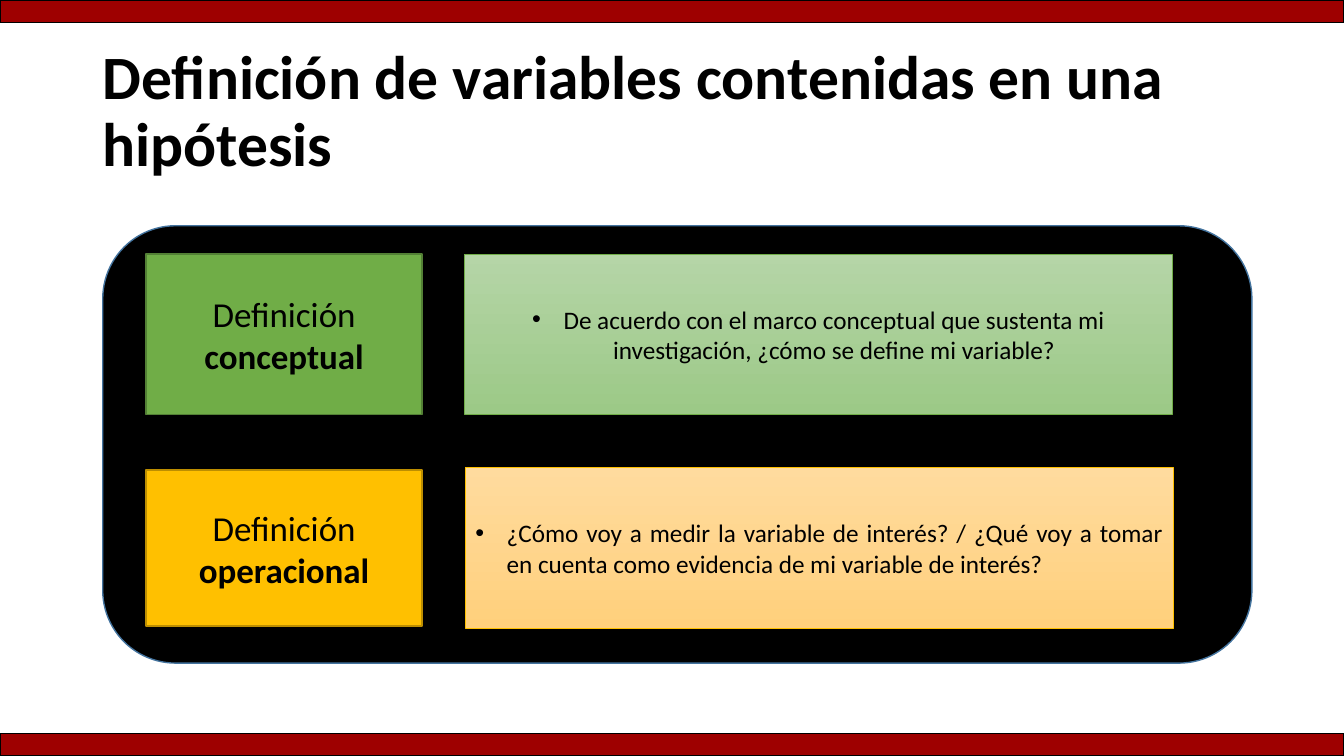
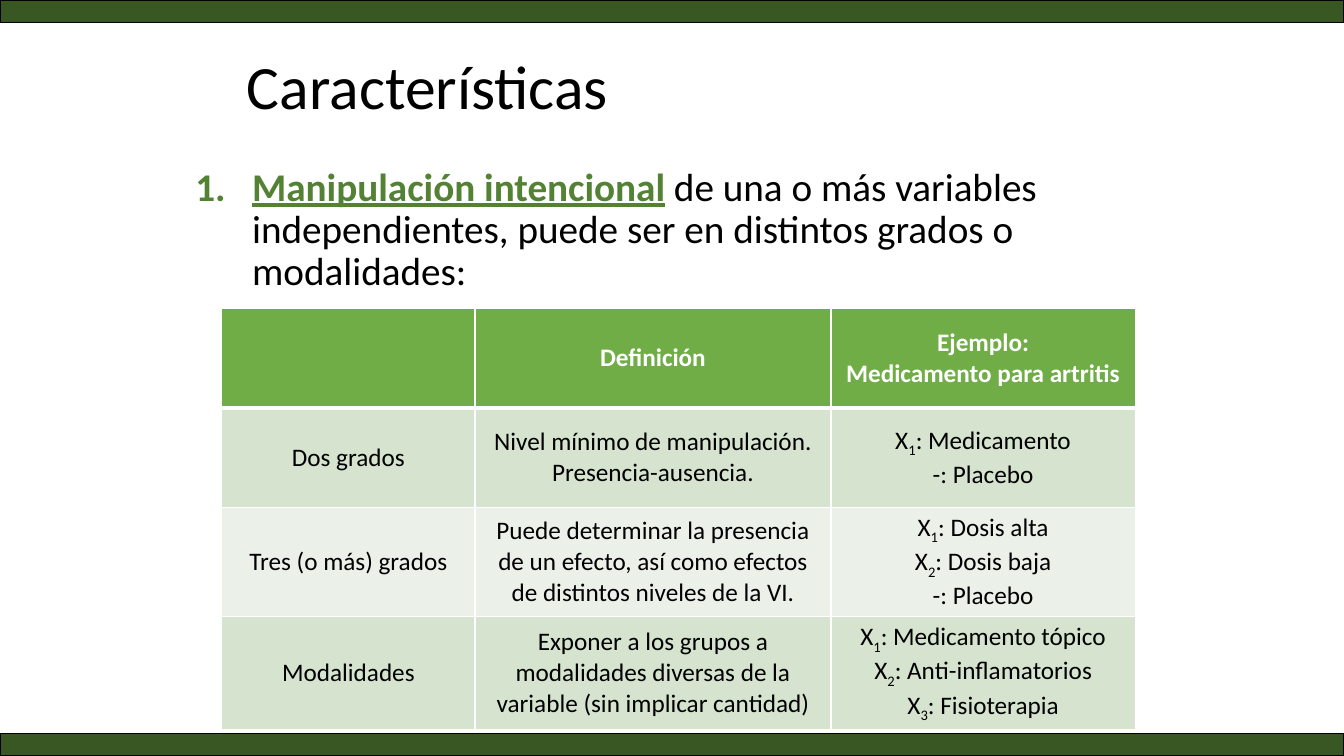
from collections.abc import Sequence
from dataclasses import dataclass

from lxml.etree import SubElement
from pptx import Presentation
from pptx.dml.color import RGBColor
from pptx.enum.shapes import MSO_SHAPE as Preset
from pptx.enum.text import MSO_ANCHOR as Anchor, MSO_AUTO_SIZE as AutoSize, PP_ALIGN as Align
from pptx.oxml.ns import qn
from pptx.shapes.autoshape import Shape
from pptx.slide import Slide
from pptx.table import _Cell as Cell
from pptx.text.text import TextFrame, _Paragraph as Paragraph
from pptx.util import Cm, Pt

WIDTH, HEIGHT, BAND_HEIGHT = 33.87, 19.05, 0.57
FONT = "Calibri"
COLORS = {
    "black": "000000",
    "white": "FFFFFF",
    "red band": "9E0000",
    "green band": "385723",
    "panel line": "43739E",
    "green": "70AD47",
    "green line": "538035",
    "green top": "B5D5A7",
    "green bottom": "9CC987",
    "gold": "FFC000",
    "gold line": "BD8E00",
    "gold top": "FFDB9E",
    "gold bottom": "FFD07C",
    "emphasis": "548235",
    "odd row": "D5E3CF",
    "even row": "EBF1E9",
}


@dataclass(frozen=True)
class Box:
    left: float
    top: float
    width: float
    height: float

    def lengths(self) -> tuple[Cm, Cm, Cm, Cm]:
        return Cm(self.left), Cm(self.top), Cm(self.width), Cm(self.height)


@dataclass(frozen=True)
class Run:
    text: str
    bold: bool | None = None
    underline: bool = False
    color: str | None = None
    subscript: bool = False


@dataclass(frozen=True)
class Definition:
    hue: str
    kind: str
    question: str
    align: Align
    label_box: Box
    question_box: Box


@dataclass(frozen=True)
class Degree:
    name: str
    meaning: str
    treatments: tuple[str, ...]
    placebo: bool


Line = str | list[Run]

DEFINITIONS = [
    Definition(
        "green",
        "conceptual",
        "De acuerdo con el marco conceptual que sustenta mi investigación, ¿cómo se define mi variable?",
        Align.CENTER,
        Box(3.68, 6.4, 6.96, 4.04),
        Box(11.71, 6.4, 17.83, 4.04),
    ),
    Definition(
        "gold",
        "operacional",
        "¿Cómo voy a medir la variable de interés? / ¿Qué voy a tomar en cuenta como evidencia de mi variable de interés?",
        Align.JUSTIFY,
        Box(3.68, 11.84, 6.96, 3.94),
        Box(11.73, 11.79, 17.83, 4.04),
    ),
]

DEGREES = [
    Degree("Dos grados", "Nivel mínimo de manipulación. Presencia-ausencia.", ("Medicamento",), True),
    Degree(
        "Tres (o más) grados",
        "Puede determinar la presencia de un efecto, así como efectos de distintos niveles de la VI.",
        ("Dosis alta", "Dosis baja"),
        True,
    ),
    Degree(
        "Modalidades",
        "Exponer a los grupos a modalidades diversas de la variable (sin implicar cantidad)",
        ("Medicamento tópico", "Anti-inflamatorios", "Fisioterapia"),
        False,
    ),
]


def rgb(name: str) -> RGBColor:
    return RGBColor.from_string(COLORS[name])


def set_bullet(paragraph: Paragraph, bullet: str, indent: float) -> None:
    properties = paragraph._p.get_or_add_pPr()
    properties.set("marL", str(Cm(indent)))
    properties.set("indent", str(-Cm(indent)))
    if bullet == "number":
        SubElement(properties, qn("a:buFont"), typeface="+mj-lt")
        SubElement(properties, qn("a:buAutoNum"), type="arabicPeriod")
    else:
        SubElement(properties, qn("a:buFont"), typeface="Arial")
        SubElement(properties, qn("a:buChar"), char=bullet)


def write_text(
    frame: TextFrame,
    lines: Sequence[Line],
    *,
    size: float = 18,
    color: str = "black",
    bold: bool = False,
    align: Align = Align.CENTER,
    spacing: float = 1.0,
    bullet: str | None = None,
    indent: float = 0,
) -> None:
    for index, line in enumerate(lines):
        paragraph = frame.paragraphs[0] if index == 0 else frame.add_paragraph()
        if bullet:
            set_bullet(paragraph, bullet, indent)
        paragraph.alignment = align
        paragraph.line_spacing = spacing
        paragraph.space_before = Pt(0)
        for part in [Run(line)] if isinstance(line, str) else line:
            run = paragraph.add_run()
            run.text = part.text
            font = run.font
            font.name, font.size = FONT, Pt(size)
            font.bold = bold if part.bold is None else part.bold
            font.underline = part.underline
            font.color.rgb = rgb(part.color or color)
            if part.subscript:
                font._element.set("baseline", "-25000")


def add_box(
    slide: Slide,
    box: Box,
    fill: str | tuple[str, str],
    line: str,
    line_width: float = 1,
    preset: Preset = Preset.RECTANGLE,
) -> Shape:
    shape = slide.shapes.add_shape(preset, *box.lengths())
    shape.shadow.inherit = False
    if isinstance(fill, tuple):
        shape.fill.gradient()
        shape.fill.gradient_angle = 270
        for stop, name in zip(shape.fill.gradient_stops, fill):
            stop.color.rgb = rgb(name)
    else:
        shape.fill.solid()
        shape.fill.fore_color.rgb = rgb(fill)
    shape.line.color.rgb = rgb(line)
    shape.line.width = Pt(line_width)
    shape.text_frame.vertical_anchor = Anchor.MIDDLE
    return shape


def place(shape: Shape, box: Box, anchor: Anchor) -> TextFrame:
    shape.left, shape.top, shape.width, shape.height = box.lengths()
    frame = shape.text_frame
    frame.word_wrap = True
    frame.auto_size = AutoSize.NONE
    frame.vertical_anchor = anchor
    return frame


def add_slide(presentation: Presentation, layout: int, title: str, title_box: Box, band: str, bold: bool) -> Slide:
    slide = presentation.slides.add_slide(presentation.slide_layouts[layout])
    frame = place(slide.shapes.title, title_box, Anchor.MIDDLE)
    write_text(frame, [title], size=44, bold=bold, align=Align.LEFT, spacing=0.9)
    for top in (0, HEIGHT - BAND_HEIGHT):
        add_box(slide, Box(0, top, WIDTH, BAND_HEIGHT), band, "black")
    return slide


def add_definition(slide: Slide, definition: Definition) -> None:
    hue = definition.hue
    label = add_box(slide, definition.label_box, hue, f"{hue} line")
    write_text(label.text_frame, [[Run("Definición "), Run(definition.kind, bold=True)]], size=25)
    question = add_box(slide, definition.question_box, (f"{hue} top", f"{hue} bottom"), hue, 0.5)
    write_text(question.text_frame, [definition.question], align=definition.align, bullet="•", indent=0.79)


def example_lines(degree: Degree) -> list[Line]:
    lines: list[Line] = [
        [Run("X"), Run(str(number), subscript=True), Run(f": {treatment}")]
        for number, treatment in enumerate(degree.treatments, 1)
    ]
    return lines + ["-: Placebo"] if degree.placebo else lines


def format_cell(cell: Cell, fill: str, bottom_width: float) -> None:
    properties = cell._tc.get_or_add_tcPr()
    for side, width in (("L", 1), ("R", 1), ("T", 1), ("B", bottom_width)):
        border = SubElement(properties, qn(f"a:ln{side}"), w=str(Pt(width)))
        SubElement(SubElement(border, qn("a:solidFill")), qn("a:srgbClr"), val=COLORS["white"])
    cell.fill.solid()
    cell.fill.fore_color.rgb = rgb(fill)
    cell.vertical_anchor = Anchor.MIDDLE


def add_degree_table(slide: Slide) -> None:
    widths, row_height = (6.38, 8.97, 7.67), 2.51
    rows: list[list[list[Line]]] = [[[], ["Definición"], ["Ejemplo:", "Medicamento para artritis"]]]
    rows += [[[degree.name], [degree.meaning], example_lines(degree)] for degree in DEGREES]
    box = Box(5.59, 7.77, sum(widths), row_height * len(rows))
    table = slide.shapes.add_table(len(rows), len(widths), *box.lengths()).table
    for column, width in zip(table.columns, widths):
        column.width = Cm(width)
    for row_index, row in enumerate(rows):
        table.rows[row_index].height = Cm(row_height)
        header = row_index == 0
        fill = "green" if header else "odd row" if row_index % 2 else "even row"
        for column_index, lines in enumerate(row):
            cell = table.cell(row_index, column_index)
            format_cell(cell, fill, 3 if header else 1)
            write_text(cell.text_frame, lines, color="white" if header else "black", bold=header)


def build_definitions(presentation: Presentation) -> None:
    title = "Definición de variables contenidas en una hipótesis"
    slide = add_slide(presentation, 5, title, Box(2.33, 1.01, 29.21, 3.68), "red band", True)
    add_box(slide, Box(2.59, 5.69, 28.96, 11.02), "black", "panel line", preset=Preset.ROUNDED_RECTANGLE)
    for definition in DEFINITIONS:
        add_definition(slide, definition)


def build_characteristics(presentation: Presentation) -> None:
    slide = add_slide(presentation, 1, "Características", Box(5.97, 0.41, 21.89, 3.68), "green band", False)
    frame = place(slide.placeholders[1], Box(4.67, 4.09, 24.94, 12.09), Anchor.TOP)
    statement = [
        Run("Manipulación intencional", bold=True, underline=True, color="emphasis"),
        Run(" de una o más variables independientes, puede ser en distintos grados o modalidades:"),
    ]
    write_text(frame, [statement], size=28, align=Align.LEFT, spacing=0.9, bullet="number", indent=1.43)
    add_degree_table(slide)


def main() -> None:
    presentation = Presentation()
    presentation.slide_width, presentation.slide_height = Cm(WIDTH), Cm(HEIGHT)
    build_definitions(presentation)
    build_characteristics(presentation)
    presentation.save("out.pptx")


if __name__ == "__main__":
    main()
